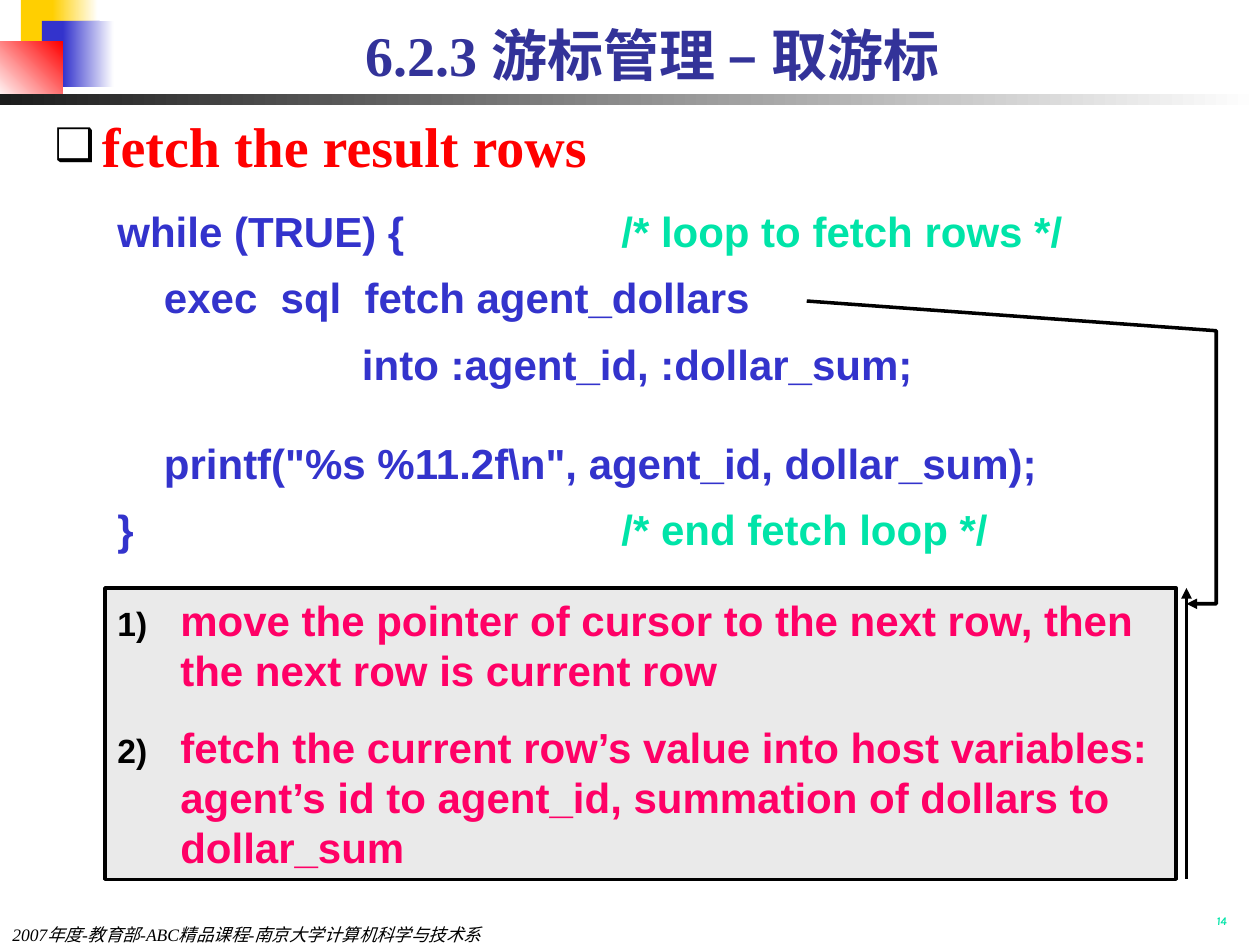
from typing import NamedTuple, Optional

from lxml.etree import SubElement
from pptx import Presentation
from pptx.dml.color import RGBColor
from pptx.enum.shapes import MSO_CONNECTOR as CONN, MSO_SHAPE as SHAPE
from pptx.enum.text import MSO_ANCHOR as ANCHOR, MSO_AUTO_SIZE as AUTO, PP_ALIGN as ALIGN
from pptx.oxml.ns import qn
from pptx.util import Pt

SERIF, SANS = "Times New Roman", "Arial"
BLUE, GREEN, RED, PINK = "3333CC", "00E4A8", "FF0000", "FF0066"
YELLOW, BLACK, WHITE = "FFCF01", "000000", "FFFFFF"


class Block(NamedTuple):
    """Decorative rectangle; end set means a gradient from color to end."""
    x: float
    y: float
    w: float
    h: float
    color: str
    end: Optional[str] = None
    angle: float = 0


class CodeLine(NamedTuple):
    code: str
    comment: str = ""
    before: float = 9


BLOCKS = [
    Block(12, 0, 34.5, 37.5, YELLOW),
    Block(30, 0, 26, 37.5, YELLOW, WHITE),
    Block(24, 12, 33, 37.5, BLUE),
    Block(36, 12, 29, 37.5, BLUE, WHITE),
    Block(0, 24, 36, 33, WHITE, RED, 45),
    Block(0, 54, 720, 6, "1C1C1C", WHITE),
]
CODE = [
    CodeLine("while (TRUE) {", "/* loop to fetch rows */", 0),
    CodeLine("    exec  sql  fetch agent_dollars"),
    CodeLine("                     into :agent_id, :dollar_sum;"),
    CodeLine('    printf("%s %11.2f\\n", agent_id, dollar_sum);', before=28),
    CodeLine("}", "/* end fetch loop */"),
]
STEPS = [
    "move the pointer of cursor to the next row, then the next row is current row",
    "fetch the current row’s value into host variables: "
    "agent’s id to agent_id, summation of dollars to dollar_sum",
]


def rgb(color: str) -> RGBColor:
    return RGBColor.from_string(color)


def add_text(p, text: str, *, size: float, color: str, font: str = SANS,
             bold: bool = True, italic: bool = False) -> None:
    r = p.add_run()
    r.text = text
    f = r.font
    f.name, f.size, f.bold, f.italic = font, Pt(size), bold, italic
    f.color.rgb = rgb(color)


def set_frame(sp, anchor=ANCHOR.TOP, mx: float = 7.2, my: float = 3.6):
    tf = sp.text_frame
    tf.word_wrap, tf.auto_size, tf.vertical_anchor = True, AUTO.NONE, anchor
    tf.margin_left = tf.margin_right = Pt(mx)
    tf.margin_top = tf.margin_bottom = Pt(my)
    return tf


def place(sp, x: float, y: float, w: float, h: float) -> None:
    sp.left, sp.top, sp.width, sp.height = Pt(x), Pt(y), Pt(w), Pt(h)


def set_bullet(p, indent: float, tag: str, **attrs: str) -> None:
    pPr = p._p.get_or_add_pPr()
    pPr.set("marL", str(Pt(indent)))
    pPr.set("indent", str(-Pt(indent)))
    SubElement(SubElement(pPr, qn("a:buClr")), qn("a:srgbClr"), val=BLACK)
    SubElement(pPr, qn("a:buSzPct"), val="80000")
    SubElement(pPr, qn(tag), **attrs)


def set_tab(p, pos: float) -> None:
    tabs = SubElement(p._p.get_or_add_pPr(), qn("a:tabLst"))
    SubElement(tabs, qn("a:tab"), pos=str(Pt(pos)), algn="l")


def add_rect(shapes, b: Block):
    sp = shapes.add_shape(SHAPE.RECTANGLE, Pt(b.x), Pt(b.y), Pt(b.w), Pt(b.h))
    sp.shadow.inherit = False
    sp.line.fill.background()
    if b.end:
        sp.fill.gradient()
        sp.fill.gradient_angle = b.angle
        for stop, color in zip(sp.fill.gradient_stops, (b.color, b.end)):
            stop.color.rgb = rgb(color)
    else:
        sp.fill.solid()
        sp.fill.fore_color.rgb = rgb(b.color)
    return sp


def set_line(sp, arrow: bool = False) -> None:
    sp.line.color.rgb = rgb(BLACK)
    sp.line.width = Pt(2)
    if arrow:
        SubElement(sp.line._get_or_add_ln(), qn("a:headEnd"), type="triangle")


def add_label(shapes, box: tuple, text: str, *, anchor=ANCHOR.TOP,
              align=ALIGN.LEFT, my: float = 0, **fmt) -> None:
    tf = set_frame(shapes.add_textbox(*map(Pt, box)), anchor, my=my)
    tf.paragraphs[0].alignment = align
    add_text(tf.paragraphs[0], text, **fmt)


def next_paragraph(tf, i: int):
    return tf.add_paragraph() if i else tf.paragraphs[0]


def main() -> None:
    prs = Presentation()
    prs.slide_width, prs.slide_height = Pt(720), Pt(540)
    s = prs.slides.add_slide(prs.slide_layouts[1])
    shapes = s.shapes

    # Corner blocks and rule
    for b in BLOCKS:
        add_rect(shapes, b)

    # Page number and footer
    add_label(shapes, (558, 516, 150, 18), "14", anchor=ANCHOR.BOTTOM,
              align=ALIGN.RIGHT, my=3.6, size=6.6, color=GREEN, font="Karla", italic=True)
    add_label(shapes, (0, 528, 396, 12), "2007年度-教育部-ABC精品课程-南京大学计算机科学与技术系",
              size=10, color=BLACK, font=SERIF, bold=False, italic=True)

    # Title and heading
    place(shapes.title, 66, 12, 613.5, 42)
    p = set_frame(shapes.title, ANCHOR.BOTTOM).paragraphs[0]
    p.alignment = ALIGN.CENTER
    add_text(p, "6.2.3 游标管理 – 取游标", size=32, color="333399", font=SERIF)

    body = s.placeholders[1]
    place(body, 24, 60, 612, 426)
    p = set_frame(body).paragraphs[0]
    set_bullet(p, 27, "a:buChar", char="❑")
    p.space_before = Pt(0)
    add_text(p, "fetch the result rows", size=32, color=RED, font=SERIF)

    # Code listing, comments aligned at one tab stop
    tf = set_frame(add_rect(shapes, Block(60, 114, 600, 206.5, WHITE)))
    for i, line in enumerate(CODE):
        p = next_paragraph(tf, i)
        set_tab(p, 288)
        p.alignment, p.space_before = ALIGN.LEFT, Pt(line.before)
        add_text(p, line.code + ("\t" if line.comment else ""), size=24, color=BLUE)
        if line.comment:
            add_text(p, line.comment, size=24, color=GREEN)

    # Explanation box
    note = add_rect(shapes, Block(60, 336, 612, 166.5, "EAEAEA"))
    set_line(note)
    tf = set_frame(note)
    for i, step in enumerate(STEPS):
        p = next_paragraph(tf, i)
        set_bullet(p, 36, "a:buAutoNum", type="arabicParenR")
        p.alignment, p.space_before = ALIGN.LEFT, Pt(15 if i else 0)
        add_text(p, step, size=24, color=PINK)

    # Callout line from the box to the fetch statement
    fb = shapes.build_freeform(Pt(678), Pt(345))
    fb.add_line_segments([(Pt(x), Pt(y)) for x, y in ((695, 345), (695, 189), (461, 172))],
                         close=False)
    callout = fb.convert_to_shape()
    callout.shadow.inherit = False
    callout.fill.background()
    set_line(callout, arrow=True)

    # Accent arrow beside the box
    accent = shapes.add_connector(CONN.STRAIGHT, Pt(678), Pt(336), Pt(678), Pt(502.5))
    set_line(accent, arrow=True)
    SubElement(accent._element.spPr, qn("a:effectLst"))

    prs.save("out.pptx")


if __name__ == "__main__":
    main()
